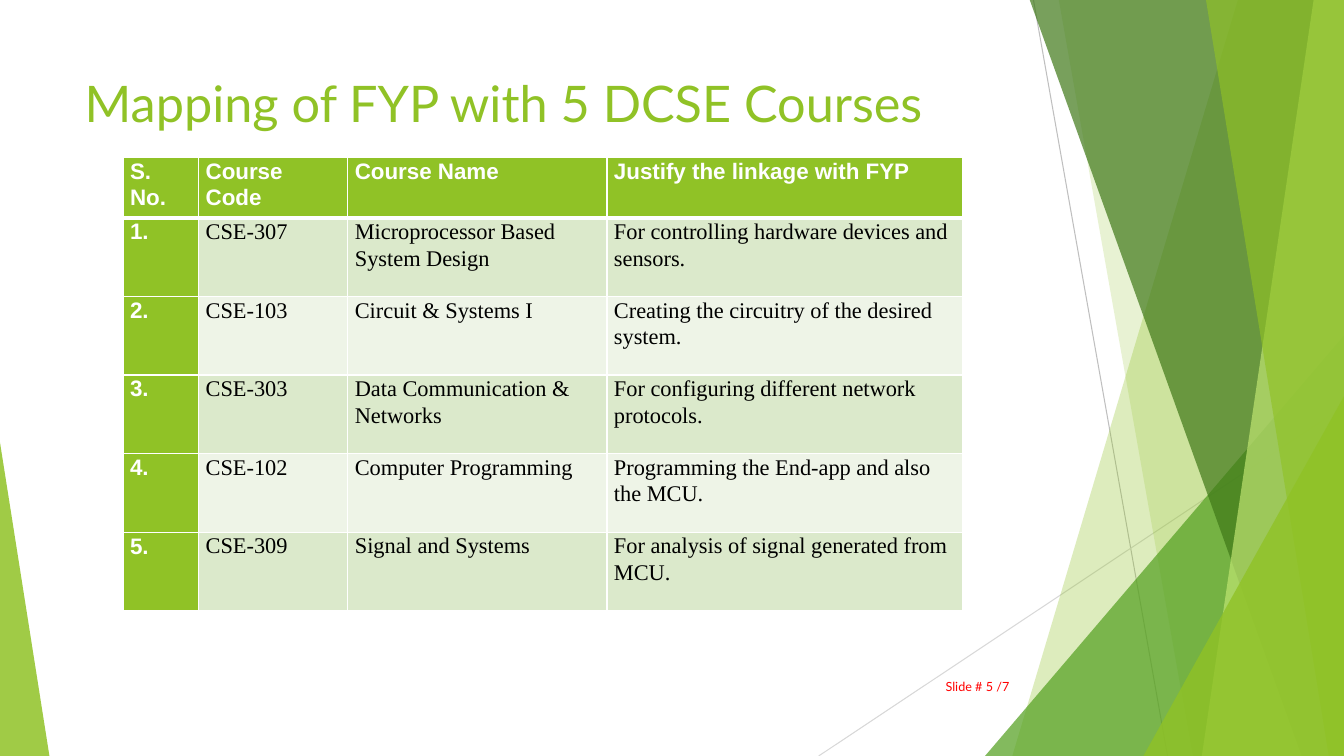
"""Build the slide that maps the FYP to five DCSE courses."""
from lxml import etree
from pptx import Presentation
from pptx import util as u
from pptx.dml import color
from pptx.enum import shapes, text
from pptx.oxml import ns

PX = 9144
WIDTH, HEIGHT = 1333, 750
GREEN, WHITE, BLACK = "90C226", "FFFFFF", "000000"
BANDS = ["DBE9CB", "EEF4E7"]
COLUMNS = [75, 148, 257, 353]
HEADER_HEIGHT, ROW_HEIGHT = 60, 78
HEADER = ["S. No.", "Course Code", "Course Name", "Justify the linkage with FYP"]
COURSES = [
    ("CSE-307", "Microprocessor Based System Design",
     "For controlling hardware devices and sensors."),
    ("CSE-103", "Circuit & Systems I",
     "Creating the circuitry of the desired system."),
    ("CSE-303", "Data Communication & Networks",
     "For configuring different network protocols."),
    ("CSE-102", "Computer Programming",
     "Programming the End-app and also the MCU."),
    ("CSE-309", "Signal and Systems",
     "For analysis of signal generated from MCU."),
]


def rgb(value):
    """Turn a hex string into a colour."""
    return color.RGBColor.from_string(value)


def emu(*lengths):
    """Turn px lengths into EMU."""
    return [u.Emu(length * PX) for length in lengths]


def add_child(parent, tag, **attributes):
    """Append a drawing element to a parent."""
    return etree.SubElement(parent, ns.qn(tag), **attributes)


def paint(shape, fill, opacity):
    """Give a shape a translucent fill and no line or shadow."""
    shape.shadow.inherit = False
    shape.line.fill.background()
    shape.fill.solid()
    shape.fill.fore_color.rgb = rgb(fill)
    tone = shape.fill._xPr.find(".//" + ns.qn("a:srgbClr"))
    add_child(tone, "a:alpha", val=str(opacity * 1000))


def add_line(page, start, end, tone):
    """Draw a thin straight line."""
    line = page.shapes.add_connector(
        shapes.MSO_CONNECTOR.STRAIGHT, *emu(*start, *end))
    line.line.color.rgb = rgb(tone)
    line.line.width = u.Pt(0.75)
    add_child(line.element.spPr, "a:effectLst")


def add_facet(page, top, bottom, fill, opacity):
    """Draw a full-height facet from a slanted left edge to the right side."""
    builder = page.shapes.build_freeform(top, -1, scale=PX)
    builder.add_line_segments([(WIDTH, -1), (WIDTH, HEIGHT), (bottom, HEIGHT)])
    paint(builder.convert_to_shape(), fill, opacity)


def add_triangle(page, left, top, width, apex, fill, opacity):
    """Draw a right triangle standing on the bottom of the slide."""
    triangle = page.shapes.add_shape(
        shapes.MSO_SHAPE.ISOSCELES_TRIANGLE,
        *emu(left, top, width, HEIGHT - top))
    triangle.adjustments[0] = apex
    paint(triangle, fill, opacity)


def add_decoration(page):
    """Draw the lines and facets along the sides."""
    add_line(page, (1025, 0), (1158, HEIGHT), "BFBFBF")
    add_line(page, (WIDTH, 403), (812, HEIGHT), "D8D8D8")
    add_facet(page, 1228, 1004, GREEN, 30)
    add_facet(page, 1050, 1183, GREEN, 20)
    add_triangle(page, 977, 333, 356, 1, "54A021", 72)
    add_facet(page, 1021, 1291, "3F7818", 70)
    add_facet(page, 1303, 1192, "BFE471", 70)
    add_facet(page, 1196, 1318, GREEN, 65)
    add_triangle(page, 1134, 393, 199, 1, GREEN, 80)
    add_triangle(page, 0, 439, 49, 0, GREEN, 85)


def write(frame, words, size, font, tone, bold=False):
    """Write one formatted paragraph and return it."""
    frame.text = words
    frame.word_wrap = True
    para = frame.paragraphs[0]
    span = para.runs[0]
    span.font.size = u.Pt(size)
    span.font.name = font
    span.font.bold = bold
    span.font.color.rgb = rgb(tone)
    return para


def add_title(page, words):
    """Place and format the title above the decoration."""
    title = page.shapes.title
    title.left, title.top, title.width, title.height = emu(74, 67, 940, 144)
    para = write(title.text_frame, words, 36, "Lato", GREEN)
    para.alignment = text.PP_ALIGN.LEFT
    title.text_frame.vertical_anchor = text.MSO_ANCHOR.TOP
    title.text_frame.auto_size = text.MSO_AUTO_SIZE.NONE
    title.element.getparent().append(title.element)


def add_border(cell, side, points):
    """Give one side of a cell a white border."""
    edge = add_child(cell._tc.get_or_add_tcPr(), "a:ln" + side,
                     w=str(u.Pt(points)))
    add_child(add_child(edge, "a:solidFill"), "a:srgbClr", val=WHITE)


def format_cell(cell, words, row, column):
    """Fill a cell, with headings in the first row and column."""
    heading = row == 0 or column == 0
    font, tone = ("Arial", WHITE) if heading else ("Times New Roman", BLACK)
    para = write(cell.text_frame, words, 16, font, tone, heading)
    para.line_spacing = 1.07
    cell.margin_left, cell.margin_right = emu(7, 7)
    cell.margin_top = cell.margin_bottom = 0
    thickness = {"L": 1, "R": 1, "T": 3 if row == 1 else 1,
                 "B": 3 if row == 0 else 1}
    for side, points in thickness.items():
        add_border(cell, side, points)
    cell.fill.solid()
    cell.fill.fore_color.rgb = rgb(GREEN if heading else BANDS[(row - 1) % 2])


def add_courses(page):
    """Add the table of courses."""
    rows = [HEADER] + [(f"{number}.", *course)
                       for number, course in enumerate(COURSES, 1)]
    height = HEADER_HEIGHT + ROW_HEIGHT * len(COURSES)
    table = page.shapes.add_table(
        len(rows), len(COLUMNS), *emu(122, 156, sum(COLUMNS), height)).table
    table.first_col = True
    for column, width in zip(table.columns, emu(*COLUMNS)):
        column.width = width
    for row, values in enumerate(rows):
        table.rows[row].height = emu(ROW_HEIGHT if row else HEADER_HEIGHT)[0]
        for column, words in enumerate(values):
            format_cell(table.cell(row, column), words, row, column)


def add_page_number(page, words):
    """Add the red slide count."""
    box = page.shapes.add_textbox(*emu(889, 661, 125, 40))
    para = write(box.text_frame, words, 9, "Lato", "FF0000")
    para.alignment = text.PP_ALIGN.RIGHT
    box.text_frame.vertical_anchor = text.MSO_ANCHOR.MIDDLE


def main():
    """Build and save the deck."""
    deck = Presentation()
    deck.slide_width, deck.slide_height = emu(WIDTH, HEIGHT)
    page = deck.slides.add_slide(deck.slide_layouts.get_by_name("Title Only"))
    add_decoration(page)
    add_title(page, "Mapping of FYP with 5 DCSE Courses")
    add_courses(page)
    add_page_number(page, " Slide # 5 /7 ")
    deck.save("out.pptx")


if __name__ == "__main__":
    main()
